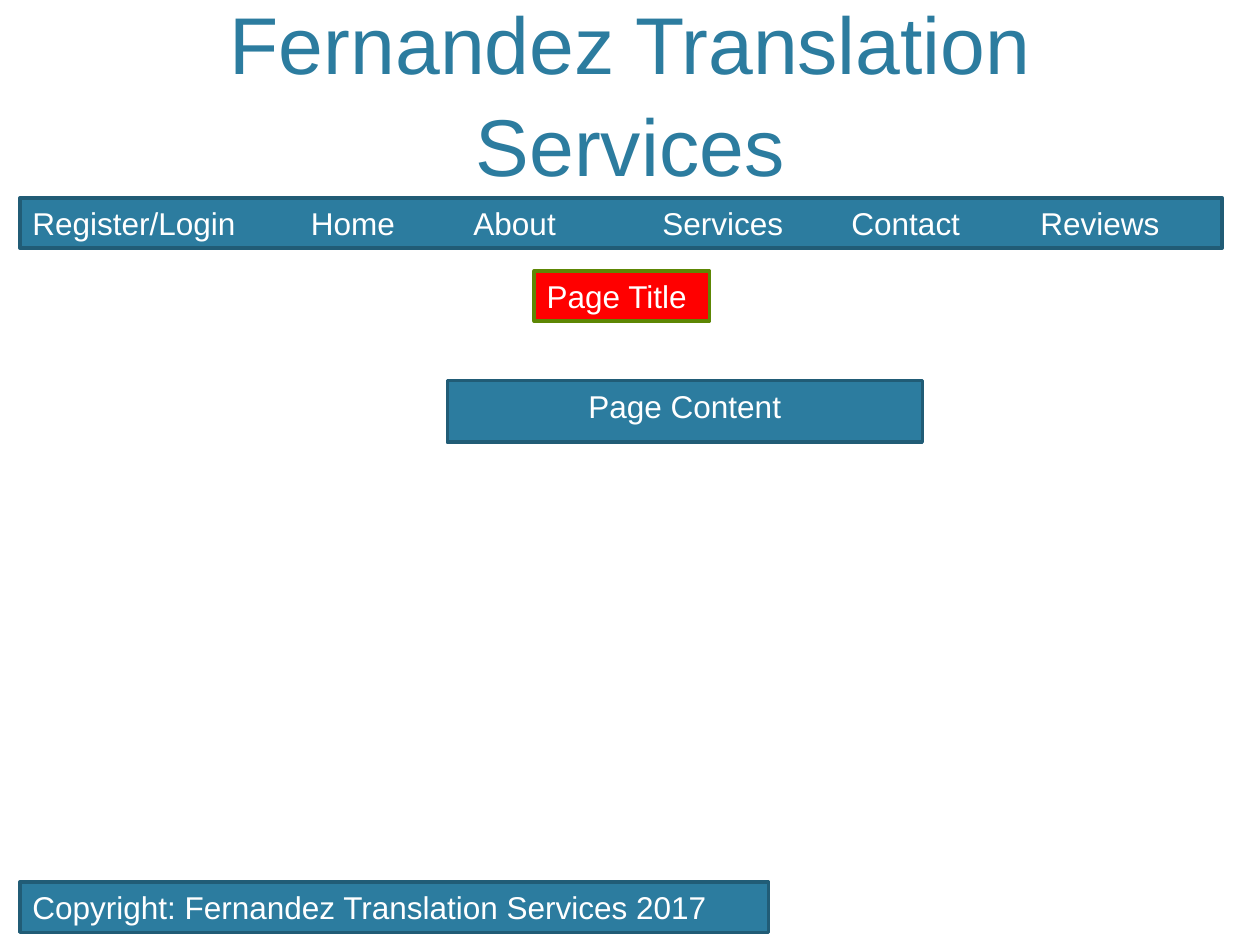
from lxml.etree import SubElement
from pptx import Presentation
from pptx.dml.color import RGBColor
from pptx.enum.shapes import MSO_SHAPE
from pptx.enum.text import MSO_ANCHOR, MSO_AUTO_SIZE, PP_ALIGN
from pptx.oxml.ns import qn
from pptx.util import Inches, Pt

COLORS = {"teal": "2C7C9F", "teal_edge": "215C76", "red": "FF0000",
          "green_edge": "5D8704", "white": "FFFFFF"}
MARGIN = 0.16
BAR_HEIGHT = 0.4
MENU = ["Register/Login", "Home", "About", "Services", "Contact", "Reviews"]
MENU_STOPS = [2.21] + [3.5 + 1.5 * column for column in range(4)]


def color(name):
    return RGBColor.from_string(COLORS[name])


def place(box, left, top, width, height):
    values = {"left": left, "top": top, "width": width, "height": height}
    for name, value in values.items():
        setattr(box, name, Inches(value))


def write(box, text, size=18, ink="white", align=PP_ALIGN.LEFT, **frame_format):
    """Put one formatted paragraph in the box and return it."""
    frame = box.text_frame
    for name, value in frame_format.items():
        setattr(frame, name, value)
    para = frame.paragraphs[0]
    para.alignment = align
    span = para.add_run()
    span.text = text
    for name, value in {"size": Pt(size), "name": "Arial"}.items():
        setattr(span.font, name, value)
    span.font.color.rgb = color(ink)
    return para


def paint(box, fill="teal", edge="teal_edge"):
    box.fill.solid()
    box.fill.fore_color.rgb = color(fill)
    box.line.color.rgb = color(edge)
    box.line.width = Pt(2)


def add_bar(page, area, text, fill="teal", edge="teal_edge", wrap=False):
    bar = page.shapes.add_shape(MSO_SHAPE.RECTANGLE, *map(Inches, area))
    bar.shadow.inherit = False
    paint(bar, fill, edge)
    return write(bar, text, word_wrap=wrap, vertical_anchor=MSO_ANCHOR.TOP,
                 auto_size=MSO_AUTO_SIZE.SHAPE_TO_FIT_TEXT)


def add_menu(page, area):
    para = add_bar(page, area, "\t".join(MENU), wrap=True)
    stops = SubElement(para._p.get_or_add_pPr(), qn("a:tabLst"))
    for stop in MENU_STOPS:
        SubElement(stops, qn("a:tab"), pos=str(Inches(stop)), algn="l")


def fill_content(box, area):
    place(box, *area)
    paint(box)
    para = write(box, "Page Content", align=PP_ALIGN.CENTER,
                 auto_size=MSO_AUTO_SIZE.NONE, vertical_anchor=MSO_ANCHOR.TOP)
    properties = para._p.get_or_add_pPr()
    for name in ("marL", "indent"):
        properties.set(name, "0")
    SubElement(properties, qn("a:buNone"))


def fill_title(box, area):
    place(box, *area)
    para = write(box, "Fernandez Translation Services", 46, "teal", PP_ALIGN.CENTER,
                 auto_size=MSO_AUTO_SIZE.NONE, vertical_anchor=MSO_ANCHOR.BOTTOM)
    para.line_spacing = 1.06


deck = Presentation()
deck.slide_width, deck.slide_height = Inches(10), Inches(7.5)
page = deck.slides.add_slide(deck.slide_layouts[1])

# Header and navigation
fill_title(page.shapes.title, (0.6, 0.12, 8.8, 1.46))
add_menu(page, (MARGIN, 1.57, 9.54, BAR_HEIGHT))

# Page body
add_bar(page, (4.24, 2.15, 1.39, BAR_HEIGHT), "Page Title", "red", "green_edge")
fill_content(page.placeholders[1], (3.55, 3.02, 3.77, 0.49))

# Footer
add_bar(page, (MARGIN, 7, 5.94, BAR_HEIGHT),
        "Copyright: Fernandez Translation Services 2017")

deck.save("out.pptx")
